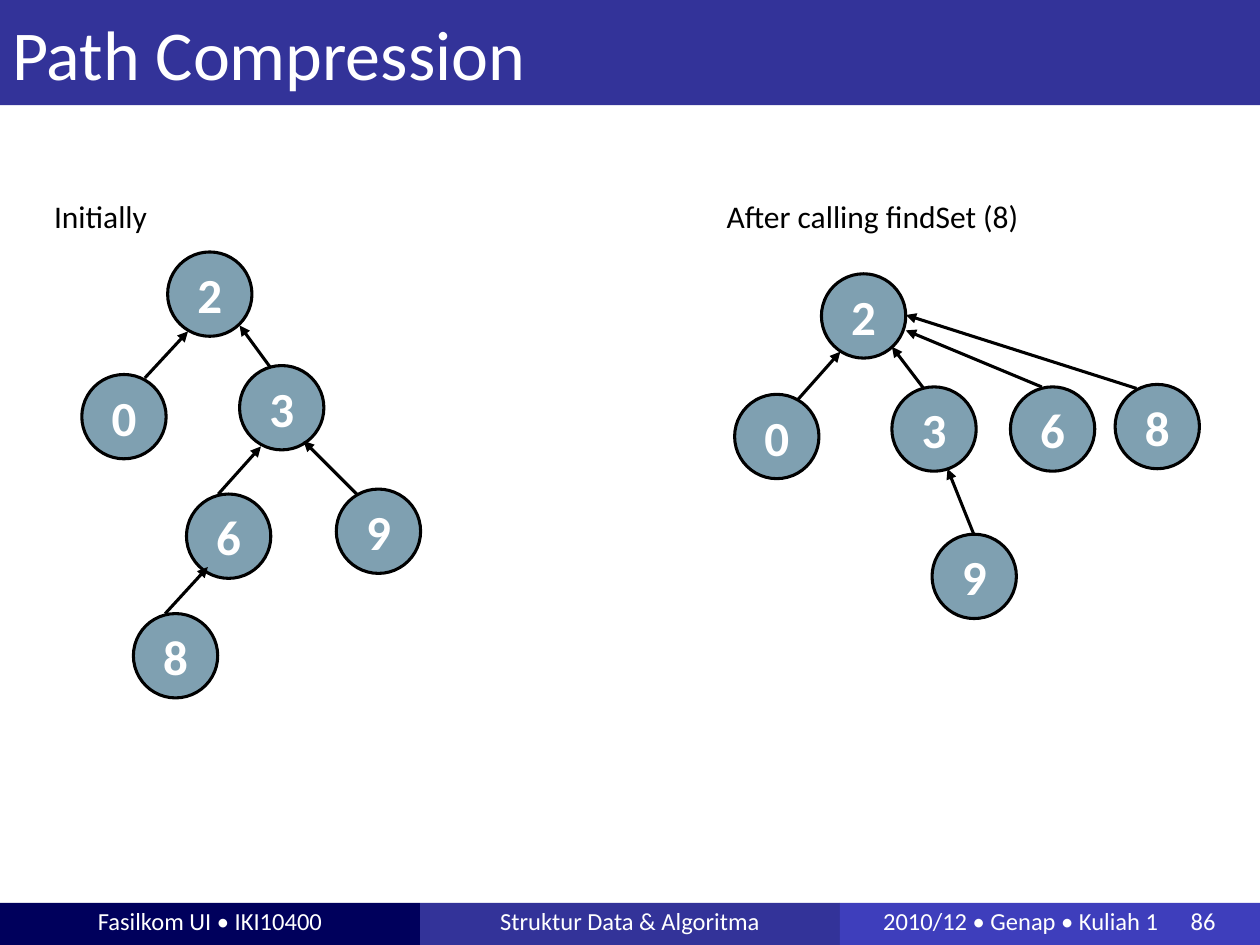
from lxml import etree
from pptx import Presentation
from pptx import util as u
from pptx.dml.color import RGBColor
from pptx.enum import shapes, text
from pptx.oxml.ns import qn

WHITE = RGBColor(0xFF, 0xFF, 0xFF)
BLACK = RGBColor(0, 0, 0)
NAVY = RGBColor(0x00, 0x00, 0x5C)
INDIGO = RGBColor(0x33, 0x33, 0x99)
VIOLET = RGBColor(0x3E, 0x3E, 0xBC)
STEEL = RGBColor(0x7F, 0xA0, 0xB1)

WIDTH, HEIGHT = 25.4, 19.05
NODE_SIZE = 1.7
LINE_WIDTH = u.Pt(1.75)

INITIAL_NODES = {
    "2": (2.54, 1.24), "3": (3.99, 3.53), "0": (0.81, 3.71),
    "6": (2.92, 6.12), "8": (1.85, 8.53), "9": (5.94, 6.02),
}
INITIAL_EDGES = [
    ((4.62, 3.58), (3.99, 2.72)), ((2.08, 3.78), (2.95, 2.84)),
    ((3.56, 6.12), (4.42, 5.16)), ((2.49, 8.53), (3.35, 7.59)),
    ((6.35, 6.12), (5.28, 5.05)),
]
COMPRESSED_NODES = {
    "2": (2.16, 1.68), "3": (3.58, 3.96), "0": (0.41, 4.11),
    "6": (5.97, 3.96), "8": (8.08, 3.91), "9": (4.39, 6.93),
}
COMPRESSED_EDGES = [
    ((4.22, 3.99), (3.58, 3.15)), ((1.68, 4.22), (2.54, 3.25)),
    ((6.6, 3.96), (3.86, 2.82)), ((8.51, 3.99), (3.86, 2.51)),
    ((5.23, 6.93), (4.7, 5.61)),
]


def write_text(shape, content, size, color=WHITE, bold=False, wrap=True, tab=None,
               align=text.PP_ALIGN.LEFT, anchor=text.MSO_ANCHOR.MIDDLE):
    """Write one formatted paragraph into a shape."""
    frame = shape.text_frame
    frame.word_wrap = wrap
    frame.vertical_anchor = anchor
    paragraph = frame.paragraphs[0]
    paragraph.alignment = align
    if tab is not None:
        tabs = etree.SubElement(paragraph._p.get_or_add_pPr(), qn("a:tabLst"))
        etree.SubElement(tabs, qn("a:tab"), pos=str(u.Cm(tab)), algn="l")
    run = paragraph.add_run()
    run.text = content
    run.font.name = "Calibri"
    run.font.size = u.Pt(size)
    run.font.bold = bold
    run.font.color.rgb = color


def add_filled(slide, kind, left, top, width, height, fill):
    """Add a flat preset shape without an outline."""
    shape = slide.shapes.add_shape(kind, u.Cm(left), u.Cm(top), u.Cm(width), u.Cm(height))
    shape.shadow.inherit = False
    shape.fill.solid()
    shape.fill.fore_color.rgb = fill
    shape.line.fill.background()
    return shape


def add_node(slide, label, left, top):
    """Add a numbered tree node."""
    node = add_filled(slide, shapes.MSO_SHAPE.OVAL, left, top, NODE_SIZE, NODE_SIZE, STEEL)
    node.line.color.rgb = BLACK
    node.line.width = LINE_WIDTH
    write_text(node, label, 28, bold=True, wrap=False, align=text.PP_ALIGN.CENTER)


def add_arrow(slide, start, end):
    """Add an arrow from a child to its parent."""
    points = [u.Cm(value) for value in (*start, *end)]
    arrow = slide.shapes.add_connector(shapes.MSO_CONNECTOR.STRAIGHT, *points)
    arrow.line.color.rgb = BLACK
    arrow.line.width = LINE_WIDTH
    etree.SubElement(arrow.line._get_or_add_ln(), qn("a:tailEnd"), type="triangle")
    etree.SubElement(arrow._element.spPr, qn("a:effectLst"))


def add_tree(slide, left, top, width, caption, nodes, edges):
    """Place a captioned tree relative to its top left corner."""
    box = slide.shapes.add_textbox(u.Cm(left), u.Cm(top), u.Cm(width), u.Cm(1.02))
    write_text(box, caption, 18, color=BLACK, wrap=False, anchor=text.MSO_ANCHOR.TOP)
    for label, (x, y) in nodes.items():
        add_node(slide, label, left + x, top + y)
    for edge in edges:
        add_arrow(slide, *[(left + x, top + y) for x, y in edge])


def add_title(slide, left, top, width, height):
    """Place the title band."""
    band = add_filled(slide, shapes.MSO_SHAPE.RECTANGLE, left, top, width, height, INDIGO)
    write_text(band, "Path Compression", 40)


def add_footer(slide, left, top, width, height):
    """Place three equal footer panels, the last with the page number."""
    center = {"align": text.PP_ALIGN.CENTER}
    panels = [
        ("Fasilkom UI • IKI10400", NAVY, 0.25, center),
        ("Struktur Data & Algoritma", INDIGO, 0.25, center),
        ("2010/12 • Genap • Kuliah 1\t86", VIOLET, 0.87, {"tab": 6.2}),
    ]
    step = width / len(panels)
    for index, (content, fill, inset, layout) in enumerate(panels):
        panel = add_filled(slide, shapes.MSO_SHAPE.RECTANGLE,
                           left + index * step, top, step, height, fill)
        panel.text_frame.margin_left = u.Cm(inset)
        panel.text_frame.margin_top = 0
        write_text(panel, content, 14, **layout)


def main():
    """Build and save the slide."""
    presentation = Presentation()
    presentation.slide_width = u.Cm(WIDTH)
    presentation.slide_height = u.Cm(HEIGHT)
    slide = presentation.slides.add_slide(presentation.slide_layouts[6])
    add_footer(slide, 0, 18.2, WIDTH, 0.85)
    add_title(slide, 0, 0, WIDTH, 2.12)
    add_tree(slide, 0.84, 3.84, 2.41, "Initially", INITIAL_NODES, INITIAL_EDGES)
    add_tree(slide, 14.4, 3.84, 6.48, "After calling findSet (8)",
             COMPRESSED_NODES, COMPRESSED_EDGES)
    presentation.save("out.pptx")


if __name__ == "__main__":
    main()
